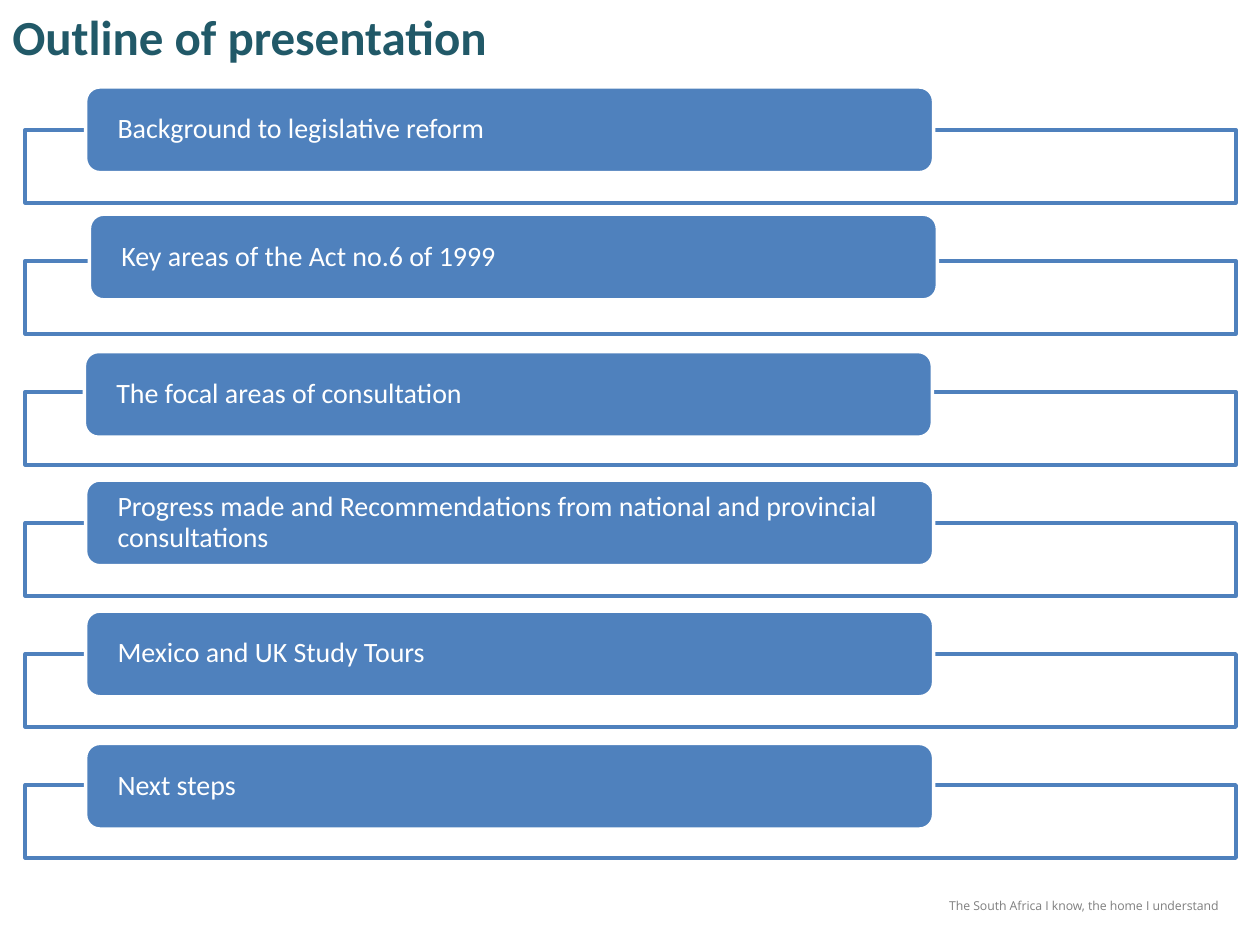
from dataclasses import dataclass

import pptx
import pptx.dml.color
import pptx.enum.shapes
import pptx.enum.text
import pptx.oxml
import pptx.oxml.ns
import pptx.util
from pptx.util import Inches

RGBColor = pptx.dml.color.RGBColor
MSO_SHAPE = pptx.enum.shapes.MSO_SHAPE
PP_ALIGN = pptx.enum.text.PP_ALIGN
MSO_ANCHOR = pptx.enum.text.MSO_ANCHOR

BLUE = RGBColor(0x4F, 0x81, 0xBD)
WHITE = RGBColor(0xFF, 0xFF, 0xFF)
TEAL = RGBColor(0x21, 0x59, 0x68)
GRAY = RGBColor(0x7F, 0x7F, 0x7F)

FRAME_TOP, FRAME_PITCH = 1.03, 1.04


@dataclass
class Topic:
    """An outline entry and the position of its label, in inches."""
    text: str
    left: float
    top: float


TOPICS = [
    Topic("Background to legislative reform", 0.68, 0.69),
    Topic("Key areas of the Act no.6 of 1999", 0.71, 1.70),
    Topic("The focal areas of consultation", 0.67, 2.79),
    Topic("Progress made and Recommendations from national and provincial "
          "consultations", 0.68, 3.81),
    Topic("Mexico and UK Study Tours", 0.68, 4.85),
    Topic("Next steps", 0.68, 5.90),
]


def add_run(p, text: str, size: float, color: RGBColor,
            font: str = "Calibri", bold: bool = False) -> None:
    """Append a formatted run to a paragraph."""
    r = p.add_run()
    r.text = text
    r.font.name = font
    r.font.size = pptx.util.Pt(size)
    r.font.bold = bold
    r.font.color.rgb = color


def add_box(s, kind, left: float, top: float, width: float, height: float,
            fill: RGBColor, line: RGBColor):
    """Add a filled, outlined shape without a shadow."""
    sp = s.shapes.add_shape(kind, Inches(left), Inches(top),
                            Inches(width), Inches(height))
    sp.shadow.inherit = False
    sp.fill.solid()
    sp.fill.fore_color.rgb = fill
    sp.line.color.rgb = line
    sp.line.width = pptx.util.Pt(2)
    return sp


def add_frame(s, top: float) -> None:
    """Add the wide frame behind a label, filled with 90% opaque white."""
    sp = add_box(s, MSO_SHAPE.RECTANGLE, 0.2, top, 9.61, 0.58, WHITE, BLUE)
    color = sp.fill._xPr.find(".//" + pptx.oxml.ns.qn("a:srgbClr"))
    color.append(pptx.oxml.parse_xml(
        f'<a:alpha {pptx.oxml.ns.nsdecls("a")} val="90000"/>'))


def add_label(s, topic: Topic) -> None:
    """Add the rounded label of a topic."""
    sp = add_box(s, MSO_SHAPE.ROUNDED_RECTANGLE, topic.left, topic.top,
                 6.73, 0.68, BLUE, WHITE)
    tf = sp.text_frame
    tf.word_wrap = True
    tf.vertical_anchor = MSO_ANCHOR.MIDDLE
    tf.margin_left = tf.margin_right = Inches(0.22)
    tf.margin_top = tf.margin_bottom = 0
    p = tf.paragraphs[0]
    p.alignment = PP_ALIGN.LEFT
    p.line_spacing = 0.9
    add_run(p, topic.text, 16, WHITE)


def add_text(s, left: float, top: float, width: float, height: float,
             align: PP_ALIGN):
    """Add a wrapping text box and return its paragraph."""
    sp = s.shapes.add_textbox(Inches(left), Inches(top),
                              Inches(width), Inches(height))
    tf = sp.text_frame
    tf.word_wrap = True
    p = tf.paragraphs[0]
    p.alignment = align
    return p


def main() -> None:
    """Build the outline slide."""
    prs = pptx.Presentation()
    prs.slide_width, prs.slide_height = Inches(10), Inches(7.5)
    s = prs.slides.add_slide(prs.slide_layouts[6])

    p = add_text(s, 6.63, 7.08, 3.14, 0.22, PP_ALIGN.RIGHT)
    add_run(p, "The South Africa I know, the home I understand", 7, GRAY,
            font="Open Sans")
    p = add_text(s, 0, 0, 10, 0.94, PP_ALIGN.LEFT)
    add_run(p, "Outline of presentation", 28, TEAL, bold=True)

    for i, topic in enumerate(TOPICS):
        add_frame(s, FRAME_TOP + i * FRAME_PITCH)
        add_label(s, topic)

    prs.save("out.pptx")


main()
